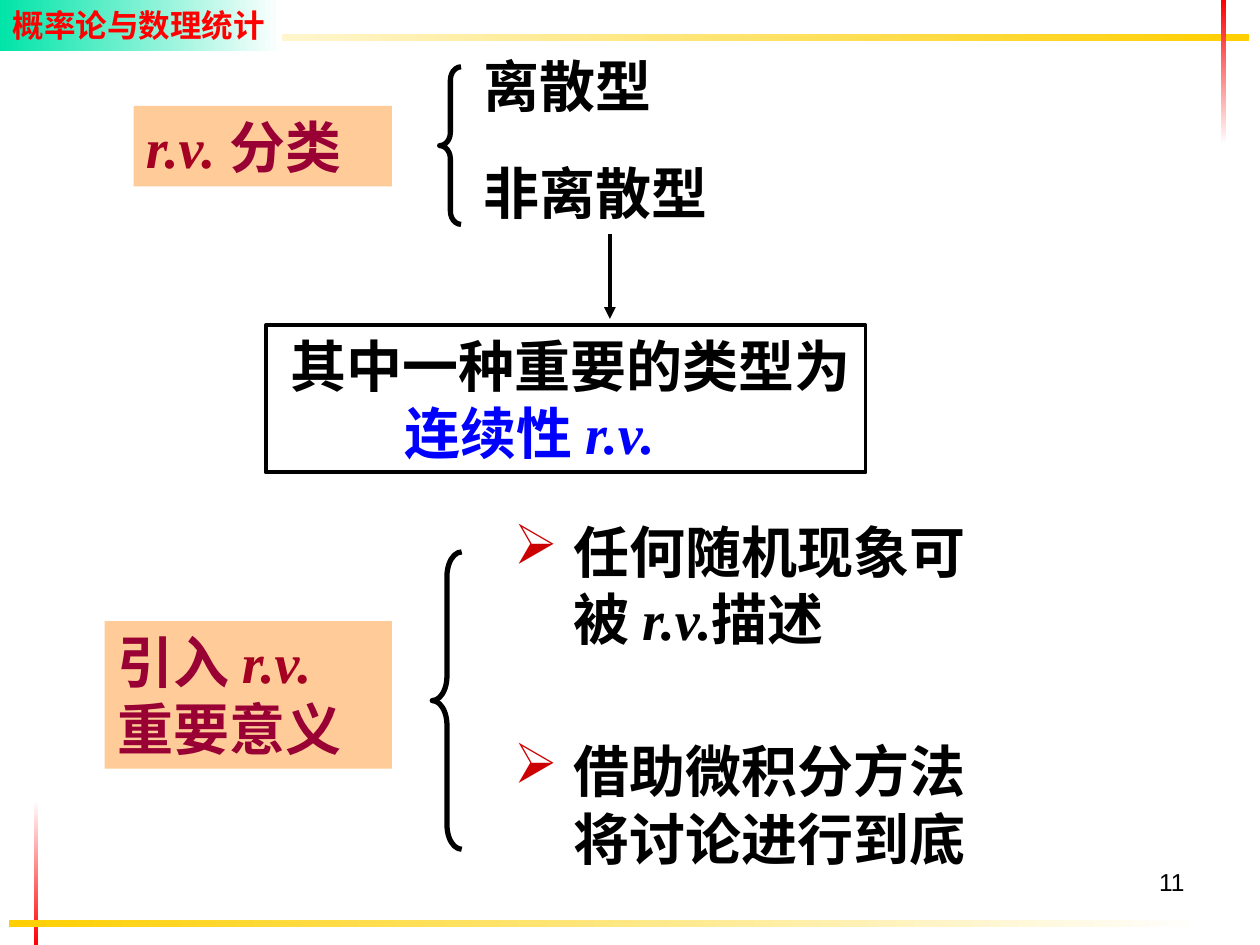
from dataclasses import dataclass
from typing import Optional

from lxml.etree import SubElement
from pptx import Presentation
from pptx.dml.color import RGBColor
from pptx.enum.shapes import MSO_CONNECTOR, MSO_SHAPE
from pptx.enum.text import MSO_ANCHOR, MSO_AUTO_SIZE, PP_ALIGN
from pptx.oxml.ns import qn
from pptx.util import Pt

COLORS = {
    "black": "000000", "white": "FFFFFF", "red": "FF0000", "gold": "FFCF01",
    "mint": "00E4A8", "peach": "FFCC99", "wine": "990033", "crimson": "A50021",
    "blue": "0000FF", "bullet": "CC0000",
}


@dataclass(frozen=True)
class Box:
    left: float
    top: float
    width: float
    height: float

    def lengths(self) -> tuple:
        return Pt(self.left), Pt(self.top), Pt(self.width), Pt(self.height)


@dataclass(frozen=True)
class Run:
    text: str
    color: str = "black"
    italic: bool = False
    size: float = 32
    bold: bool = True
    font: str = "Times New Roman"


@dataclass(frozen=True)
class Line:
    runs: tuple
    margin: float = 0
    bullet: bool = False
    align: PP_ALIGN = PP_ALIGN.LEFT


@dataclass(frozen=True)
class Panel:
    box: Box
    lines: tuple
    fill: Optional[str] = None
    border: Optional[str] = None
    wrap: bool = True


@dataclass(frozen=True)
class Band:
    box: Box
    start: str
    end: str
    angle: float = 0


@dataclass(frozen=True)
class Brace:
    box: Box
    curve: float


def rgb(name: str) -> RGBColor:
    return RGBColor.from_string(COLORS[name])


def set_attributes(target, values: dict) -> None:
    for name, value in values.items():
        setattr(target, name, value)


def fill_gradient(shape, start: str, end: str, angle: float) -> None:
    shape.fill.gradient()
    shape.fill.gradient_angle = angle
    for stop, color in zip(shape.fill.gradient_stops, (start, end)):
        stop.color.rgb = rgb(color)


def write_lines(shape, lines: tuple, wrap: bool = True, anchor=MSO_ANCHOR.TOP) -> None:
    frame = shape.text_frame
    set_attributes(frame, {
        "word_wrap": wrap, "auto_size": MSO_AUTO_SIZE.NONE, "vertical_anchor": anchor,
        "margin_left": Pt(7.2), "margin_right": Pt(7.2),
        "margin_top": Pt(3.6), "margin_bottom": Pt(3.6),
    })
    for index, line in enumerate(lines):
        paragraph = frame.add_paragraph() if index else frame.paragraphs[0]
        paragraph.alignment = line.align
        properties = paragraph._p.get_or_add_pPr()
        properties.set("marL", str(Pt(line.margin)))
        properties.set("indent", str(Pt(-line.margin if line.bullet else 0)))
        if line.bullet:
            color = SubElement(properties, qn("a:buClr"))
            SubElement(color, qn("a:srgbClr"), val=COLORS["bullet"])
            SubElement(properties, qn("a:buChar"), char="➢")
        for item in line.runs:
            run = paragraph.add_run()
            run.text = item.text
            set_attributes(run.font, {
                "name": item.font, "size": Pt(item.size),
                "bold": item.bold, "italic": item.italic,
            })
            run.font.color.rgb = rgb(item.color)


def draw_band(slide, band: Band):
    shape = slide.shapes.add_shape(MSO_SHAPE.RECTANGLE, *band.box.lengths())
    shape.shadow.inherit = False
    shape.line.fill.background()
    fill_gradient(shape, band.start, band.end, band.angle)
    return shape


def draw_panel(slide, panel: Panel) -> None:
    shape = slide.shapes.add_textbox(*panel.box.lengths())
    if panel.fill:
        shape.fill.solid()
        shape.fill.fore_color.rgb = rgb(panel.fill)
    if panel.border:
        shape.line.color.rgb = rgb(panel.border)
        shape.line.width = Pt(2.25)
    write_lines(shape, panel.lines, panel.wrap)


def draw_brace(slide, brace: Brace) -> None:
    shape = slide.shapes.add_shape(MSO_SHAPE.LEFT_BRACE, *brace.box.lengths())
    shape.shadow.inherit = False
    shape.adjustments[0] = brace.curve
    shape.fill.background()
    shape.line.color.rgb = rgb("black")
    shape.line.width = Pt(3)


def draw_arrow(slide, x: float, top: float, bottom: float) -> None:
    arrow = slide.shapes.add_connector(
        MSO_CONNECTOR.STRAIGHT, Pt(x), Pt(top), Pt(x), Pt(bottom))
    arrow.line.color.rgb = rgb("black")
    arrow.line.width = Pt(2.25)
    SubElement(arrow.line._get_or_add_ln(), qn("a:tailEnd"), type="triangle")
    SubElement(arrow._element.spPr, qn("a:effectLst"))


BANDS = (
    Band(Box(19.4, 457.2, 2.4, 82.8), "white", "red", 270),
    Band(Box(5, 525.6, 684.7, 4.2), "gold", "white"),
    Band(Box(28.8, 19.4, 684.7, 4.2), "white", "gold"),
    Band(Box(697.7, 0, 2.9, 82.8), "red", "white", 270),
)
TITLE_BOX = Box(0, 0, 161.3, 29)
TITLE = Run("概率论与数理统计", "red", size=18, font="Cabin")
MARGIN = 34  # hanging indent of the bulleted lines

PANELS = (
    # Slide number
    Panel(Box(516.2, 491.8, 167.8, 37.4),
          (Line((Run("11", size=14, bold=False, font="Arial"),), align=PP_ALIGN.RIGHT),)),
    # Classification of random variables
    Panel(Box(269.3, 25.9, 130.3, 46), (Line((Run("离散型"),)),)),
    Panel(Box(269.3, 87.1, 153.4, 46), (Line((Run("非离散型"),)),)),
    Panel(Box(76.3, 60.5, 147.6, 46),
          (Line((Run("r.v. ", "crimson", True), Run("分类", "wine"))),), fill="peach"),
    # Continuous type
    Panel(Box(151.9, 185.8, 342.7, 84.2),
          (Line((Run("其中一种重要的类型为"),), 7),
           Line((Run("连续性 ", "blue"), Run("r.v.", "blue", True)), 72)),
          border="black", wrap=False),
    # Why random variables matter
    Panel(Box(59.8, 355, 164.2, 84.2),
          (Line((Run("引入 ", "wine"), Run("r.v.", "crimson", True))),
           Line((Run("重要意义", "wine"),))), fill="peach"),
    Panel(Box(286.6, 292.3, 300.2, 84.2),
          (Line((Run("任何随机现象可"),), MARGIN, True),
           Line((Run("被 "), Run("r.v.", italic=True), Run("描述")), MARGIN))),
    Panel(Box(286.6, 417.6, 306, 84.2),
          (Line((Run("借助微积分方法"),), MARGIN, True),
           Line((Run("将讨论进行到底"),), MARGIN))),
)
BRACES = (
    Brace(Box(251.3, 38.2, 12.2, 90), 0.62),
    Brace(Box(247, 315.4, 16.8, 169.9), 0.83),
)


def main() -> None:
    presentation = Presentation()
    presentation.slide_width, presentation.slide_height = Pt(720), Pt(540)
    slide = presentation.slides.add_slide(presentation.slide_layouts[5])

    # Frame bands, with the title in front of them
    bands = [draw_band(slide, band) for band in BANDS]
    title = slide.shapes.title
    set_attributes(title, dict(zip(("left", "top", "width", "height"), TITLE_BOX.lengths())))
    fill_gradient(title, "mint", "white", 0)
    write_lines(title, (Line((TITLE,)),), anchor=MSO_ANCHOR.MIDDLE)
    bands[-1]._element.addnext(title._element)

    # Content
    for panel in PANELS:
        draw_panel(slide, panel)
    for brace in BRACES:
        draw_brace(slide, brace)
    draw_arrow(slide, 348.5, 133.9, 182.2)
    presentation.save("out.pptx")


if __name__ == "__main__":
    main()
